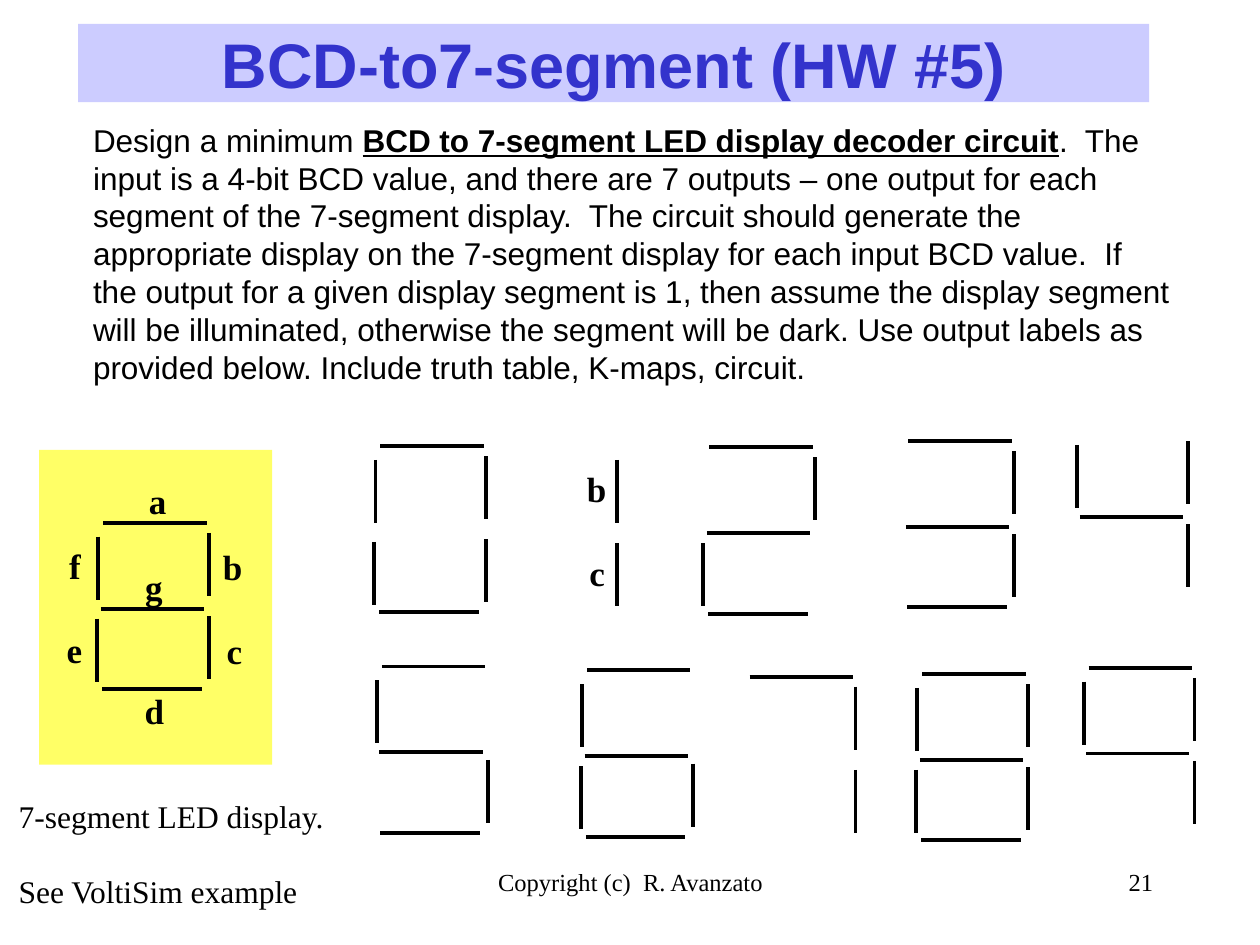
from dataclasses import dataclass

import pptx
import pptx.dml.color
import pptx.enum.shapes
import pptx.enum.text
import pptx.oxml
import pptx.oxml.ns
import pptx.util
from pptx.util import Inches

ALIGN = pptx.enum.text.PP_ALIGN
SERIF = "Times New Roman"
SANS = "Arial"
BLACK = "000000"


@dataclass(frozen=True)
class Segment:
    dx: float
    dy: float
    width: float = 0
    height: float = 0


@dataclass(frozen=True)
class Digit:
    left: float
    top: float
    lit: str


@dataclass(frozen=True)
class Label:
    letter: str
    left: float
    top: float
    width: float


SEGMENTS = {
    "a": Segment(0, 0, width=0.82),
    "b": Segment(0.84, 0.08, height=0.5),
    "c": Segment(0.84, 0.74, height=0.5),
    "d": Segment(-0.01, 1.32, width=0.79),
    "e": Segment(-0.05, 0.76, height=0.5),
    "f": Segment(-0.04, 0.11, height=0.5),
    "g": Segment(-0.02, 0.68, width=0.82),
}

DIGITS = [
    Digit(0.82, 4.15, "abcdefg"),
    Digit(3.02, 3.54, "abcdef"),
    Digit(4.06, 3.57, "bc"),
    Digit(5.63, 3.55, "abdeg"),
    Digit(7.21, 3.5, "abcdg"),
    Digit(8.59, 3.42, "bcfg"),
    Digit(3.03, 5.29, "acdfg"),
    Digit(4.66, 5.32, "acdefg"),
    Digit(5.95, 5.37, "abc"),
    Digit(7.32, 5.35, "abcdefg"),
    Digit(8.64, 5.3, "abcfg"),
]

LABELS = [
    Label("a", 1.08, 3.76, 0.34),
    Label("g", 1.05, 4.44, 0.34),
    Label("b", 1.67, 4.28, 0.35),
    Label("c", 1.7, 4.95, 0.32),
    Label("f", 0.45, 4.27, 0.29),
    Label("e", 0.43, 4.94, 0.32),
    Label("d", 1.05, 5.42, 0.35),
    Label("b", 4.56, 3.66, 0.35),
    Label("c", 4.58, 4.33, 0.32),
]


def color(value: str) -> pptx.dml.color.RGBColor:
    return pptx.dml.color.RGBColor.from_string(value)


def style(paragraph, size, face=SERIF, hue=BLACK, bold=None, align=ALIGN.LEFT) -> None:
    paragraph.alignment = align
    font = paragraph.font
    font.size = pptx.util.Pt(size)
    font.name = face
    font.bold = bold
    font.color.rgb = color(hue)


def add_text(slide, left, top, width, height, wrap=True):
    box = slide.shapes.add_textbox(Inches(left), Inches(top), Inches(width), Inches(height))
    box.text_frame.word_wrap = wrap
    return box.text_frame


def add_line(slide, left: float, top: float, segment: Segment) -> None:
    x, y = left + segment.dx, top + segment.dy
    line = slide.shapes.add_connector(
        pptx.enum.shapes.MSO_CONNECTOR.STRAIGHT,
        Inches(x), Inches(y), Inches(x + segment.width), Inches(y + segment.height),
    )
    line.line.color.rgb = color(BLACK)
    line.line.width = pptx.util.Pt(2.25)
    properties = line._element.spPr
    properties.append(pptx.oxml.parse_xml(f"<a:effectLst {pptx.oxml.ns.nsdecls('a')}/>"))


def add_digit(slide, digit: Digit) -> None:
    for name in digit.lit:
        add_line(slide, digit.left, digit.top, SEGMENTS[name])


def add_label(slide, label: Label) -> None:
    frame = add_text(slide, label.left, label.top, label.width, 0.44, wrap=False)
    frame.text = label.letter
    style(frame.paragraphs[0], 20, bold=True, align=ALIGN.RIGHT)


def add_title(slide) -> None:
    title = slide.shapes.title
    title.left, title.top = Inches(0.62), Inches(0.19)
    title.width, title.height = Inches(8.5), Inches(0.62)
    title.fill.solid()
    title.fill.fore_color.rgb = color("CCCCFF")
    title.text_frame.text = "BCD-to7-segment (HW #5)"
    title.text_frame.vertical_anchor = pptx.enum.text.MSO_ANCHOR.MIDDLE
    style(title.text_frame.paragraphs[0], 36, SANS, "3333CC", True, ALIGN.CENTER)


def add_assignment(slide) -> None:
    assignment = add_text(slide, 0.64, 0.91, 8.77, 2.2).paragraphs[0]
    style(assignment, 18, SANS)
    assignment.add_run().text = "Design a minimum "
    circuit = assignment.add_run()
    circuit.text = "BCD to 7-segment LED display decoder circuit"
    circuit.font.bold = True
    circuit.font.underline = True
    assignment.add_run().text = (
        ".  The input is a 4-bit BCD value, and there are 7 outputs – one output for each "
        "segment of the 7-segment display.  The circuit should generate the appropriate "
        "display on the 7-segment display for each input BCD value.  If the output for a "
        "given display segment is 1, then assume the display segment will be illuminated, "
        "otherwise the segment will be dark. Use output labels as provided below. "
        "Include truth table, K-maps, circuit."
    )


def add_display_panel(slide) -> None:
    panel = slide.shapes.add_shape(
        pptx.enum.shapes.MSO_SHAPE.RECTANGLE,
        Inches(0.31), Inches(3.57), Inches(1.85), Inches(2.5),
    )
    panel.shadow.inherit = False
    panel.fill.solid()
    panel.fill.fore_color.rgb = color("FFFF66")
    panel.line.fill.background()


def add_caption(slide) -> None:
    caption = add_text(slide, 0.05, 6.28, 2.75, 1)
    caption.text = "7-segment LED display.\nSee VoltiSim example"
    for paragraph in caption.paragraphs:
        style(paragraph, 18)
    caption.paragraphs[1].space_before = pptx.util.Pt(21)


def add_footer(slide) -> None:
    copyright_line = add_text(slide, 3.42, 6.83, 3.17, 0.5)
    copyright_line.text = "Copyright (c)  R. Avanzato"
    style(copyright_line.paragraphs[0], 14, align=ALIGN.CENTER)
    page_number = add_text(slide, 7.17, 6.83, 2.08, 0.5)
    page_number.text = "21"
    style(page_number.paragraphs[0], 14, align=ALIGN.RIGHT)


def main() -> None:
    deck = pptx.Presentation()
    deck.slide_width, deck.slide_height = Inches(10), Inches(7.5)
    slide = deck.slides.add_slide(deck.slide_layouts[5])
    add_footer(slide)
    add_display_panel(slide)
    add_title(slide)
    add_assignment(slide)
    for digit in DIGITS:
        add_digit(slide, digit)
    for label in LABELS:
        add_label(slide, label)
    add_caption(slide)
    deck.save("out.pptx")


if __name__ == "__main__":
    main()
